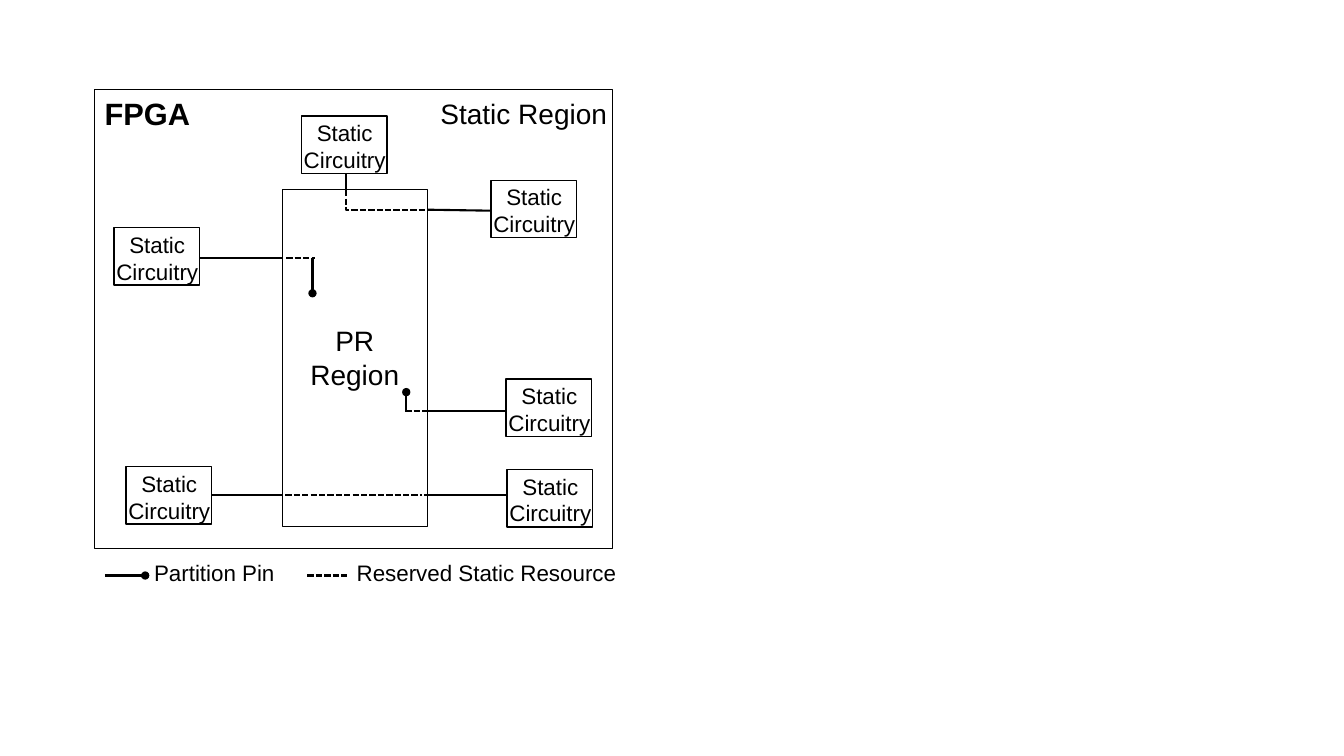
from dataclasses import dataclass

from lxml.etree import SubElement
from pptx import Presentation
from pptx.dml.color import RGBColor
from pptx.enum.dml import MSO_LINE
from pptx.enum.shapes import MSO_CONNECTOR as CONN, MSO_SHAPE as SHAPE
from pptx.enum.text import MSO_ANCHOR as ANCHOR, PP_ALIGN as ALIGN
from pptx.oxml.ns import qn
from pptx.util import Pt


@dataclass(frozen=True)
class Theme:
    ink: RGBColor = RGBColor(0, 0, 0)
    paper: RGBColor = RGBColor(255, 255, 255)
    font: str = "Arial"
    heading: int = 22
    region: int = 20
    label: int = 16
    frame: float = 0.75
    border: float = 1
    wire: float = 1.5


THEME = Theme()


def write(sp, text, size, align=ALIGN.LEFT, bold=False, wrap=True):
    tf = sp.text_frame
    tf.text = text
    tf.word_wrap = wrap
    tf.vertical_anchor = ANCHOR.TOP
    p = tf.paragraphs[0]
    p.alignment = align
    font = p.runs[0].font
    font.name, font.size, font.bold = THEME.font, Pt(size), bold
    font.color.rgb = THEME.ink


def add_text(shapes, x, y, w, h, text, size, **style):
    sp = shapes.add_textbox(Pt(x), Pt(y), Pt(w), Pt(h))
    write(sp, text, size, **style)


def add_rect(shapes, x, y, w, h, weight, filled=True):
    sp = shapes.add_shape(SHAPE.RECTANGLE, Pt(x), Pt(y), Pt(w), Pt(h))
    sp.shadow.inherit = False
    if filled:
        sp.fill.solid()
        sp.fill.fore_color.rgb = THEME.paper
    else:
        sp.fill.background()
    sp.line.color.rgb = THEME.ink
    sp.line.width = Pt(weight)
    return sp


def add_wire(shapes, x1, y1, x2, y2, dashed=False, pin=False, kind=CONN.STRAIGHT):
    wire = shapes.add_connector(kind, Pt(x1), Pt(y1), Pt(x2), Pt(y2))
    wire.line.color.rgb = THEME.ink
    wire.line.width = Pt(THEME.wire)
    if dashed:
        wire.line.dash_style = MSO_LINE.SQUARE_DOT
    if pin:
        SubElement(wire.line._get_or_add_ln(), qn("a:tailEnd"), type="oval")
    SubElement(wire._element.spPr, qn("a:effectLst"))
    return wire


def add_circuit(shapes, x, y):
    group = shapes.add_group_shape().shapes
    add_text(group, x - 7.2, y - 1.4, 76.3, 46, "Static Circuitry",
             THEME.label, align=ALIGN.CENTER)
    add_rect(group, x, y, 61.2, 41, THEME.border, filled=False)


def draw_fpga(shapes, x, y, w, h):
    # Static region around the reconfigurable region
    frame = add_rect(shapes, x, y, w, h, THEME.frame)
    write(frame, "FPGA", THEME.heading, bold=True)
    add_rect(shapes, x + 133.9, y + 71.3, 103.7, 240.5, THEME.frame)
    add_text(shapes, x + 239.8, y + 1.4, 141.8, 31.7, "Static Region",
             THEME.region, wrap=False)
    add_text(shapes, x + 136.8, y + 163.4, 97.9, 55.4, "PR Region",
             THEME.region, align=ALIGN.CENTER)

    # Static circuits
    for dx, dy in [(293.8, 206.6), (13.7, 98.6), (294.5, 271.4),
                   (22.3, 269.3), (283, 64.8), (147.6, 18.7)]:
        add_circuit(shapes, x + dx, y + dy)

    # Reserved static resources inside the PR region
    reserved = [(136.1, 289.4, 234, 289.4), (221.8, 229.7, 290.9, 229.7),
                (136.8, 120.2, 157, 120.2)]
    # Wires from the circuits to the region edge
    solid = [(83.5, 289.4, 134.6, 289.4), (235.4, 289.4, 293.8, 289.4),
             (237.6, 229.7, 293.8, 229.7), (74.9, 120.2, 134.6, 120.2),
             (237.6, 85.7, 283, 86.4), (179.3, 60.5, 179.3, 71.3)]
    # Wires ending in a partition pin
    pins = [(222.5, 229.7, 222.5, 216), (155.5, 120.2, 155.5, 145.4)]
    for wires, style in [(reserved, {"dashed": True}), (solid, {}),
                         (pins, {"pin": True})]:
        for x1, y1, x2, y2 in wires:
            add_wire(shapes, x + x1, y + y1, x + x2, y + y2, **style)

    # Reserved route that turns right below the top edge
    bend = add_wire(shapes, x + 178.9, y + 72, x + 237.6, y + 85.7,
                    dashed=True, kind=CONN.ELBOW)
    guides = bend._element.spPr.find(qn("a:prstGeom")).get_or_add_avLst()
    SubElement(guides, qn("a:gd"), name="adj1", fmla="val 500")


def draw_legend(shapes, x, y, pitch, h):
    entries = [("Partition Pin", 100.8, {"pin": True}),
               ("Reserved Static Resource", 200.9, {"dashed": True})]
    for i, (text, w, style) in enumerate(entries):
        group = shapes.add_group_shape().shapes
        left, middle = x + i * pitch, y + 15.1
        add_wire(group, left, middle, left + 28.8, middle, **style)
        add_text(group, left + 28.1, y, w, h, text, THEME.label, wrap=False)


prs = Presentation()
prs.slide_width, prs.slide_height = Pt(960), Pt(540)
s = prs.slides.add_slide(prs.slide_layouts[6])
draw_fpga(s.shapes, 67.7, 64.1, 370, 327.6)
draw_legend(s.shapes, 74.9, 396, 144.7, 26.6)
prs.save("out.pptx")
